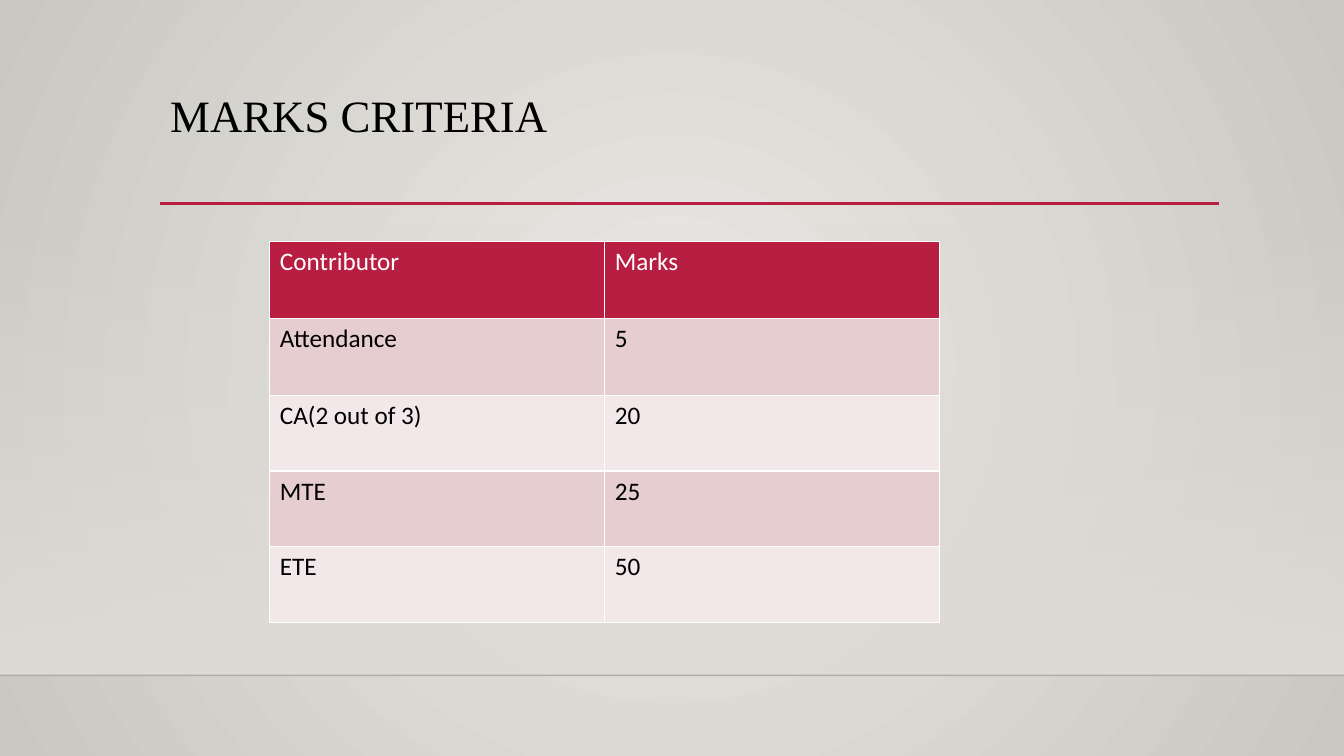
from dataclasses import dataclass

from lxml import etree
from pptx import Presentation
from pptx import util as u
from pptx.dml.color import RGBColor
from pptx.enum import shapes, text
from pptx.oxml import ns

COLORS = {
    "glow": "ECEAE7", "edge": "CAC7C1", "wall": "DFDBD5", "floor": "000001",
    "accent": "B71E42", "dark": "E6CDCF", "light": "F3E8E9",
    "black": "000000", "white": "FFFFFF",
}
PAGE_WIDTH, PAGE_HEIGHT = u.Cm(33.87), u.Cm(19.05)
FLOOR_TOP = u.Cm(17.02)


@dataclass
class Rule:
    """A horizontal line across part of the page."""
    left: int
    right: int
    top: int
    color: str
    width: float
    opacity: int = 100


@dataclass
class Mark:
    """One row of the marks table."""
    contributor: str
    marks: str
    height: float


RULES = [
    Rule(0, PAGE_WIDTH, FLOOR_TOP, "floor", 1, 20),
    Rule(u.Cm(4.04), u.Cm(30.73), u.Cm(5.13), "accent", 2.5),
]
MARKS = [
    Mark("Contributor", "Marks", 1.94),
    Mark("Attendance", "5", 1.94),
    Mark("CA(2 out of 3)", "20", 1.91),
    Mark("MTE", "25", 1.91),
    Mark("ETE", "50", 1.91),
]


def rgb(name: str) -> RGBColor:
    """Look up a named colour."""
    return RGBColor.from_string(COLORS[name])


def child(parent, tag: str, **attributes: str):
    """Append an XML element with the given attributes."""
    return etree.SubElement(parent, ns.qn(tag), attributes)


def set_opacity(element, percent: int) -> None:
    """Set the opacity of the first colour below an element."""
    color = next(element.iter(ns.qn("a:srgbClr")))
    child(color, "a:alpha", val=str(percent * 1000))


def set_gradient(fill, start: str, end: str) -> None:
    """Give a fill a gradient between two named colours."""
    fill.gradient()
    for stop, name, position in zip(fill.gradient_stops, (start, end), (0, 1)):
        stop.color.rgb = rgb(name)
        stop.position = position


def paint_background(page) -> None:
    """Paint the round glow and the wall that fades in above the floor."""
    set_gradient(page.background.fill, "glow", "edge")
    linear = next(page.element.iter(ns.qn("a:lin")))
    circle = etree.Element(ns.qn("a:path"), path="circle")
    child(circle, "a:fillToRect", **dict.fromkeys("ltrb", "50000"))
    linear.getparent().replace(linear, circle)

    top = u.Cm(5.61)
    wall = page.shapes.add_shape(
        shapes.MSO_SHAPE.RECTANGLE, 0, top, PAGE_WIDTH, FLOOR_TOP - top)
    wall.shadow.inherit = False
    wall.line.fill.background()
    set_gradient(wall.fill, "wall", "wall")
    wall.fill.gradient_angle = 270
    set_opacity(wall.element.spPr, 0)


def draw_rule(page, rule: Rule) -> None:
    """Draw one horizontal line."""
    line = page.shapes.add_connector(
        shapes.MSO_CONNECTOR.STRAIGHT, rule.left, rule.top, rule.right, rule.top)
    line.line.color.rgb = rgb(rule.color)
    line.line.width = u.Pt(rule.width)
    if rule.opacity < 100:
        set_opacity(line.element.spPr, rule.opacity)
    child(line.element.spPr, "a:effectLst")


def add_span(para, words: str, size: float, font: str, color: str) -> None:
    """Add one run of text to a paragraph."""
    span = para.add_run()
    span.text = words
    span.font.size = u.Pt(size)
    span.font.name = font
    span.font.bold = False
    span.font.color.rgb = rgb(color)


def add_title(page, words: str) -> None:
    """Add the heading above the accent line."""
    box = page.shapes.add_textbox(u.Cm(4.04), u.Cm(2.24), u.Cm(26.67), u.Cm(2.92))
    box.text_frame.word_wrap = True
    box.text_frame.vertical_anchor = text.MSO_ANCHOR.TOP
    para = box.text_frame.paragraphs[0]
    para.line_spacing = 0.9
    add_span(para, words, 32, "Times New Roman", "black")


def add_borders(cell) -> None:
    """Draw thin white lines on all sides of a cell."""
    properties = cell._tc.get_or_add_tcPr()
    for side in "LRTB":
        line = child(properties, f"a:ln{side}", w=str(u.Pt(1)))
        child(child(line, "a:solidFill"), "a:srgbClr", val=COLORS["white"])


def add_marks_table(page, marks: list[Mark]) -> None:
    """Add the table with a header row and banded rows."""
    height = u.Cm(sum(mark.height for mark in marks))
    table = page.shapes.add_table(
        len(marks), 2, u.Cm(6.8), u.Cm(6.08), u.Cm(16.88), height).table
    for index, mark in enumerate(marks):
        table.rows[index].height = u.Cm(mark.height)
        band = ("light", "dark")[index % 2] if index else "accent"
        for column, words in enumerate((mark.contributor, mark.marks)):
            cell = table.cell(index, column)
            add_borders(cell)
            cell.fill.solid()
            cell.fill.fore_color.rgb = rgb(band)
            add_span(cell.text_frame.paragraphs[0], words, 18, "Calibri",
                     "black" if index else "white")


def main() -> None:
    """Build and save the deck."""
    deck = Presentation()
    deck.slide_width, deck.slide_height = PAGE_WIDTH, PAGE_HEIGHT
    page = deck.slides.add_slide(deck.slide_layouts[6])
    paint_background(page)
    for rule in RULES:
        draw_rule(page, rule)
    add_title(page, "MARKS CRITERIA")
    add_marks_table(page, MARKS)
    deck.save("out.pptx")


main()
